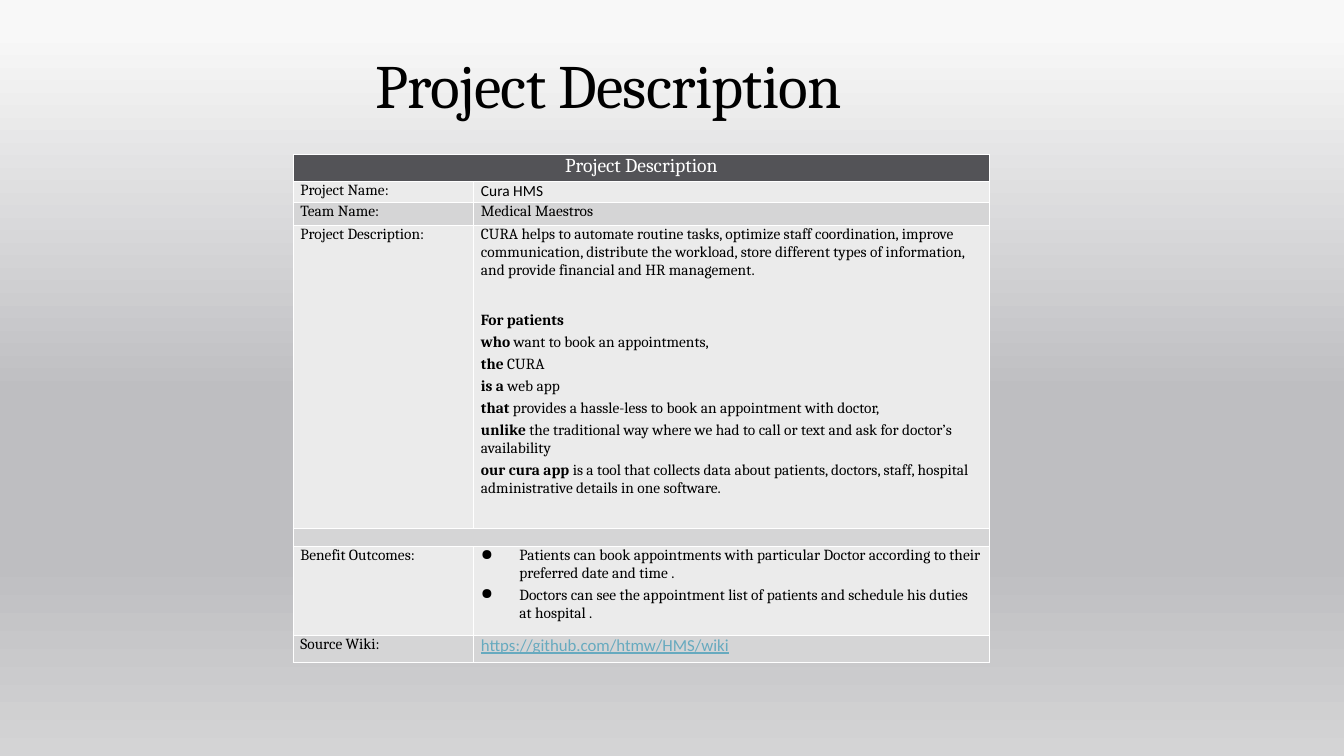
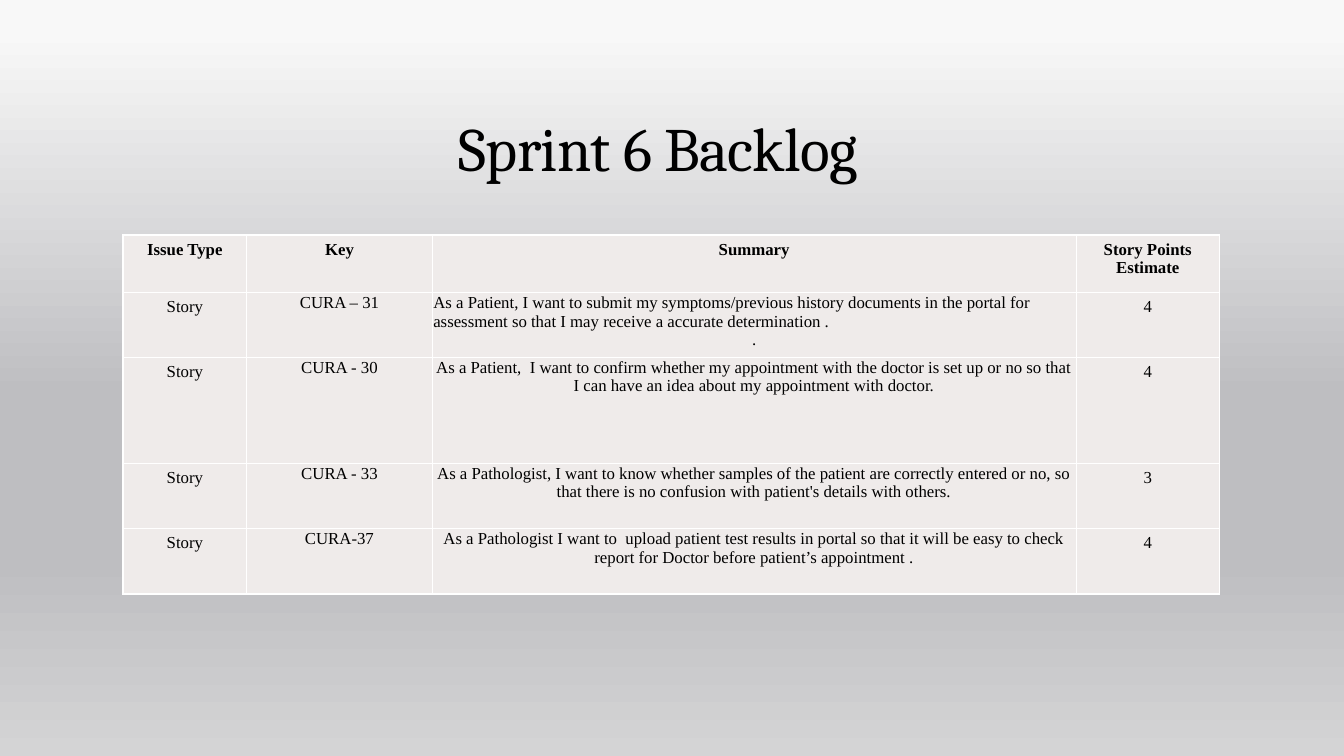
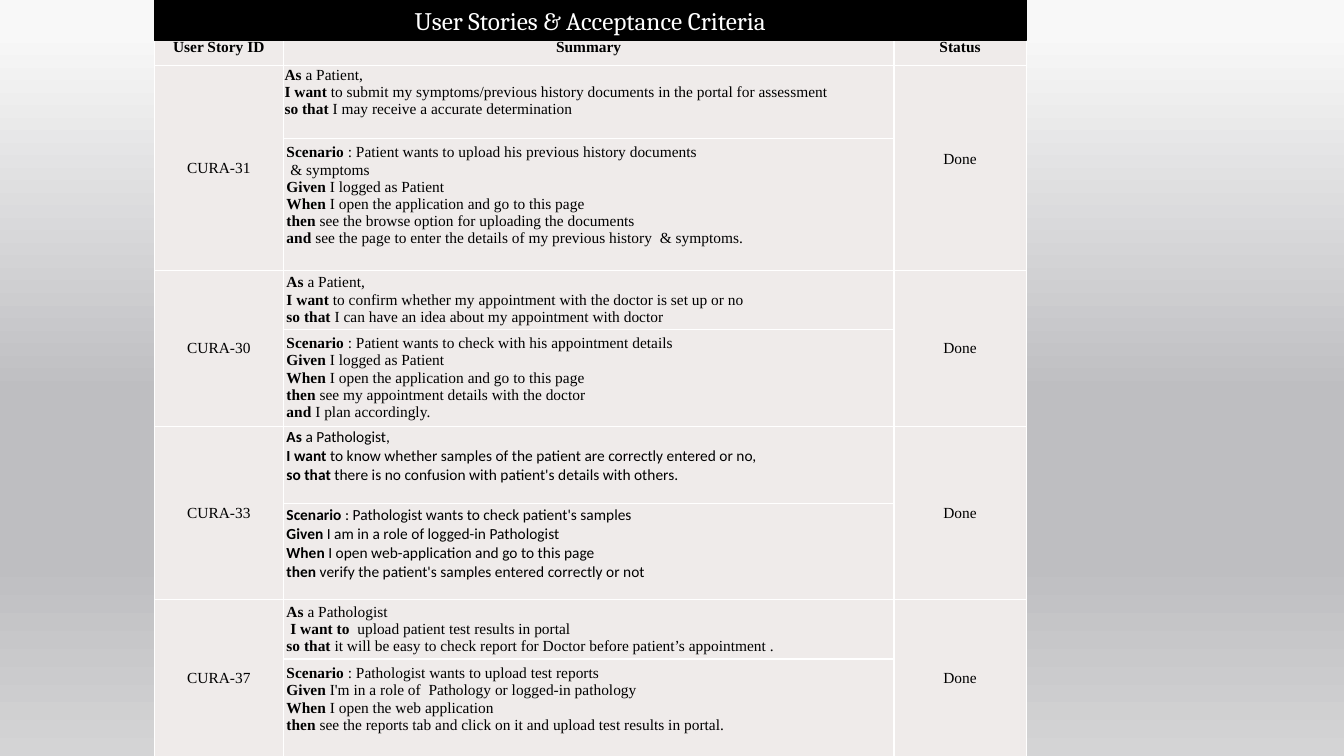
from dataclasses import dataclass, replace
from typing import Optional, Sequence

from pptx import Presentation
from pptx.dml.color import RGBColor
from pptx.enum.shapes import MSO_SHAPE
from pptx.enum.text import MSO_ANCHOR, PP_ALIGN
from pptx.oxml import parse_xml
from pptx.oxml.ns import nsdecls, qn
from pptx.util import Cm, Pt

LEFT, CENTER = PP_ALIGN.LEFT, PP_ALIGN.CENTER
TOP, MIDDLE, BOTTOM = MSO_ANCHOR.TOP, MSO_ANCHOR.MIDDLE, MSO_ANCHOR.BOTTOM
RECTANGLE = MSO_SHAPE.RECTANGLE

SERIF, SANS, TIMES = "Cambria", "Calibri", "Times New Roman"
BLACK, WHITE, LINK = "000000", "FFFFFF", "67AABF"
HEADER_FILL, LIGHT, DARK, BACKLOG_FILL = "535357", "EBEBEB", "D5D5D6", "EFEBEA"
BACKDROP = ((4, "F8F8F8"), (52, "BEBEC1"), (74, "BEBEC1"), (100, "D4D4D5"))

SIDE_ONLY = (0.18, 0, 0.18, 0)
ROOMY = (0.25, 0.13, 0.25, 0.13)
TIGHT = (0.03, 0.03, 0.03, 0)
SNUG = (0.08, 0.05, 0.08, 0.05)
RAISED = (0.08, 0.05, 0.08, 0.48)


@dataclass(frozen=True)
class TextStyle:
    font: str
    size: float
    color: str = BLACK
    underline: bool = False
    tracking: int = 0


@dataclass(frozen=True)
class Cell:
    lines: Sequence[str]
    style: TextStyle
    fill: str
    insets: tuple[float, float, float, float]
    align: PP_ALIGN = LEFT
    anchor: MSO_ANCHOR = TOP
    last_align: Optional[PP_ALIGN] = None
    space_after: float = 0
    gap_after_first: float = 0
    bulleted: bool = False
    row_span: int = 1
    col_span: int = 1


@dataclass(frozen=True)
class UserStory:
    key: str
    story: Sequence[str]
    scenario: Sequence[str]
    font: str = TIMES
    story_insets: tuple[float, float, float, float] = SNUG
    story_anchor: MSO_ANCHOR = MIDDLE
    scenario_insets: tuple[float, float, float, float] = RAISED
    status_insets: tuple[float, float, float, float] = SNUG


TITLE = TextStyle(SERIF, 44, tracking=-50)
BODY = TextStyle(SERIF, 11)
BACKLOG = TextStyle(TIMES, 12)
STORY = TextStyle(TIMES, 11)


def rgb(color: str) -> RGBColor:
    return RGBColor.from_string(color)


def write(paragraph, text: str, style: TextStyle, align: PP_ALIGN) -> None:
    paragraph.alignment = align
    for position, part in enumerate(text.split("*")):
        if not part:
            continue
        run = paragraph.add_run()
        run.text = part
        font = run.font
        font.name, font.size = style.font, Pt(style.size)
        font.color.rgb = rgb(style.color)
        font.bold = position % 2 == 1
        font.underline = style.underline
        if style.tracking:
            font._element.set("spc", str(style.tracking))


def add_bullet(paragraph) -> None:
    properties = paragraph._p.get_or_add_pPr()
    properties.set("marL", str(Cm(0.97)))
    properties.set("indent", str(-Cm(0.97)))
    properties.append(parse_xml(f'<a:buChar {nsdecls("a")} char="●"/>'))


def draw_borders(cell) -> None:
    properties = cell._tc.get_or_add_tcPr()
    for position, side in enumerate(("lnL", "lnR", "lnT", "lnB")):
        properties.insert(position, parse_xml(
            f'<a:{side} {nsdecls("a")} w="{Pt(1)}"><a:solidFill>'
            f'<a:srgbClr val="{WHITE}"/></a:solidFill></a:{side}>'))


def fill_cell(target, content: Cell) -> None:
    target.fill.solid()
    target.fill.fore_color.rgb = rgb(content.fill)
    target.vertical_anchor = content.anchor
    (target.margin_left, target.margin_top,
     target.margin_right, target.margin_bottom) = map(Cm, content.insets)
    frame = target.text_frame
    if not content.lines:
        frame.paragraphs[0]._p.append(
            parse_xml(f'<a:endParaRPr {nsdecls("a")} sz="{content.style.size * 100}"/>'))
    for number, line in enumerate(content.lines):
        paragraph = frame.add_paragraph() if number else frame.paragraphs[0]
        if content.bulleted:
            add_bullet(paragraph)
        paragraph.space_after = Pt(content.space_after)
        if number == 1 and content.gap_after_first:
            paragraph.space_before = Pt(content.gap_after_first)
        is_last = number == len(content.lines) - 1
        align = content.last_align if is_last and content.last_align else content.align
        write(paragraph, line, content.style, align)


def draw_table(slide, left: float, top: float, widths: Sequence[float],
               heights: Sequence[float], grid: Sequence[Sequence[Optional[Cell]]]) -> None:
    table = slide.shapes.add_table(len(heights), len(widths), Cm(left), Cm(top),
                                   Cm(sum(widths)), Cm(sum(heights))).table
    table.first_row = table.horz_banding = False
    for column, width in zip(table.columns, widths):
        column.width = Cm(width)
    for row, height in zip(table.rows, heights):
        row.height = Cm(height)
    for r, cells in enumerate(grid):
        for c, content in enumerate(cells):
            target = table.cell(r, c)
            if content:
                fill_cell(target, content)
                if content.row_span * content.col_span > 1:
                    target.merge(table.cell(r + content.row_span - 1,
                                            c + content.col_span - 1))
            draw_borders(target)


def draw_title(slide, text: str, left: float, top: float,
               width: float, height: float) -> None:
    frame = slide.shapes.add_textbox(Cm(left), Cm(top), Cm(width), Cm(height)).text_frame
    frame.word_wrap = True
    frame.vertical_anchor = BOTTOM
    paragraph = frame.paragraphs[0]
    paragraph.line_spacing = 0.9
    write(paragraph, text, TITLE, CENTER)


def set_backdrop(master) -> None:
    fill = master.background.fill
    fill.gradient()
    fill.gradient_angle = 270
    stops = next(master.element.iter(qn("a:gsLst")))
    for stop in list(stops):
        stops.remove(stop)
    for position, color in BACKDROP:
        stops.append(parse_xml(f'<a:gs {nsdecls("a")} pos="{position * 1000}">'
                               f'<a:srgbClr val="{color}"/></a:gs>'))


def build_description(slide) -> None:
    draw_title(slide, "Project Description", 1.47, 0.66, 27.74, 2.54)

    def entry(fill: str, *lines: str, style: TextStyle = BODY, **options) -> Cell:
        return Cell(lines, style, fill, SIDE_ONLY, space_after=3, **options)

    purpose = entry(
        LIGHT,
        "CURA helps to automate routine tasks, optimize staff coordination, improve "
        "communication, distribute the workload, store different types of information, "
        "and provide financial and HR management.",
        "*For patients*",
        "*who* want to book an appointments,",
        "*the* CURA",
        "*is a *web app",
        "*that* provides a hassle-less to book an appointment with doctor,",
        "*unlike* the traditional way where we had to call or text and ask for doctor’s "
        "availability",
        "*our cura app *is a tool that collects data about patients, doctors, staff, "
        "hospital administrative details in one software.",
        gap_after_first=20)
    benefits = entry(
        LIGHT,
        "Patients can book appointments with particular Doctor according to their "
        "preferred date and time .",
        "Doctors can see the appointment list of patients and schedule his duties at "
        "hospital .",
        bulleted=True)
    draw_table(slide, 7.39, 3.89, (4.55, 13), (0.69, 0.53, 0.58, 7.62, 0.46, 2.24, 0.69), (
        (entry(HEADER_FILL, "Project Description", style=TextStyle(SERIF, 14, WHITE),
               align=CENTER, col_span=2), None),
        (entry(LIGHT, "Project Name:"),
         entry(LIGHT, "Cura HMS", style=TextStyle(SANS, 11))),
        (entry(DARK, "Team Name:"), entry(DARK, "Medical Maestros")),
        (entry(LIGHT, "Project Description:"), purpose),
        (entry(DARK, style=TextStyle(SERIF, 8), col_span=2), None),
        (entry(LIGHT, "Benefit Outcomes:"), benefits),
        (entry(DARK, "Source Wiki:"),
         entry(DARK, "https://github.com/htmw/HMS/wiki",
               style=TextStyle(SANS, 12, LINK, underline=True))),
    ))


def build_backlog(slide) -> None:
    draw_title(slide, "Sprint 6 Backlog", 10.11, 2.64, 12.95, 2.13)

    def entry(*lines: str, insets=ROOMY) -> Cell:
        return Cell(lines, BACKLOG, BACKLOG_FILL, insets, CENTER)

    items = (
        ("CURA – 31",
         ("As a Patient, I want to submit my symptoms/previous history documents in the "
          "portal for assessment so that I may receive a accurate determination .", "."),
         "4"),
        ("CURA - 30",
         ("As a Patient,  I want to confirm whether my appointment with the doctor is set "
          "up or no so that I can have an idea about my appointment with doctor.",), "4"),
        ("CURA - 33",
         ("As a Pathologist, I want to know whether samples of the patient are correctly "
          "entered or no, so that there is no confusion with patient's details with "
          "others.",), "3"),
        ("CURA-37",
         ("As a Pathologist I want to  upload patient test results in portal so that it "
          "will be easy to check report for Doctor before patient’s appointment .",), "4"),
    )
    grid = [[entry("*Issue Type*"), entry("*Key*"), entry("*Summary*"),
             entry("*Story Points*", "*Estimate*")]]
    for key, summary, points in items:
        summary_cell = entry(*summary, insets=TIGHT)
        if len(summary) > 1:
            summary_cell = replace(summary_cell, align=LEFT, last_align=CENTER)
        grid.append([entry("Story"), entry(key, insets=TIGHT), summary_cell, entry(points)])
    draw_table(slide, 3.1, 5.92, (3.12, 4.67, 16.23, 3.61),
               (1.45, 1.63, 2.67, 1.65, 1.65), grid)


USER_STORIES = (
    UserStory(
        "CURA-31",
        ("*As* a Patient,",
         "*I want *to submit my symptoms/previous history documents in the portal for "
         "assessment",
         "*so that *I may receive a accurate determination"),
        ("*Scenario* : Patient wants to upload his previous history documents",
         " & symptoms",
         "*Given* I logged as Patient",
         "*When* I open the application and go to this page",
         "*then* see the browse option for uploading the documents",
         "*and* see the page to enter the details of my previous history  & symptoms."),
        story_insets=TIGHT, story_anchor=TOP, status_insets=RAISED),
    UserStory(
        "CURA-30",
        ("*As *a Patient,",
         "*I want *to confirm whether my appointment with the doctor is set up or no",
         "*so that *I can have an idea about my appointment with doctor"),
        ("*Scenario* : Patient wants to check with his appointment details",
         "*Given* I logged as Patient",
         "*When* I open the application and go to this page",
         "*then* see my appointment details with the doctor",
         "*and* I plan accordingly."),
        scenario_insets=SNUG),
    UserStory(
        "CURA-33",
        ("*As *a Pathologist,",
         "*I want *to know whether samples of the patient are correctly entered or no,",
         "*so that *there is no confusion with patient's details with others."),
        ("*Scenario *: Pathologist wants to check patient's samples",
         "*Given* I am in a role of logged-in Pathologist",
         "*When* I open web-application and go to this page",
         "*then* verify the patient's samples entered correctly or not"),
        font=SANS, story_insets=RAISED),
    UserStory(
        "CURA-37",
        ("*As* a Pathologist",
         " *I want to  *upload patient test results in portal",
         "*so that *it will be easy to check report for Doctor before patient’s "
         "appointment ."),
        ("*Scenario *: Pathologist wants to upload test reports",
         "*Given* I'm in a role of  Pathology or logged-in pathology",
         "*When* I open the web application",
         "*then *see the reports tab and click on it and upload test results in portal.")),
)


def build_user_stories(slide) -> None:
    widths = (3.25, 15.39, 3.33)

    def label(text: str, insets=SNUG, row_span: int = 1) -> Cell:
        return Cell((text,), STORY, BACKLOG_FILL, insets, CENTER, MIDDLE, row_span=row_span)

    grid = [[label("*User Story ID*"), label("*Summary*"), label("*Status*")]]
    for item in USER_STORIES:
        style = replace(STORY, font=item.font)
        grid.append([label(item.key, row_span=2),
                     Cell(item.story, style, BACKLOG_FILL, item.story_insets,
                          anchor=item.story_anchor),
                     label("Done", item.status_insets, row_span=2)])
        grid.append([None,
                     Cell(item.scenario, style, BACKLOG_FILL, item.scenario_insets,
                          anchor=MIDDLE),
                     None])
    draw_table(slide, 3.89, 0.74, widths,
               (0.91, 1.83, 3.23, 1.42, 2.31, 1.96, 2.41, 1.45, 2.46), grid)

    band = slide.shapes.add_shape(RECTANGLE, Cm(3.89), Cm(0), Cm(sum(widths)), Cm(1.02))
    band.shadow.inherit = False
    band.fill.solid()
    band.fill.fore_color.rgb = rgb(BLACK)
    band.line.color.rgb = rgb(BLACK)
    band.line.width = Pt(1.1)
    band.text_frame.vertical_anchor = MIDDLE
    write(band.text_frame.paragraphs[0], "User Stories & Acceptance Criteria",
          TextStyle(SERIF, 18, WHITE), CENTER)


def main() -> None:
    deck = Presentation()
    deck.slide_width, deck.slide_height = Cm(33.87), Cm(19.05)
    set_backdrop(deck.slide_master)
    blank = deck.slide_layouts[6]
    for build in (build_description, build_backlog, build_user_stories):
        build(deck.slides.add_slide(blank))
    deck.save("out.pptx")


if __name__ == "__main__":
    main()
